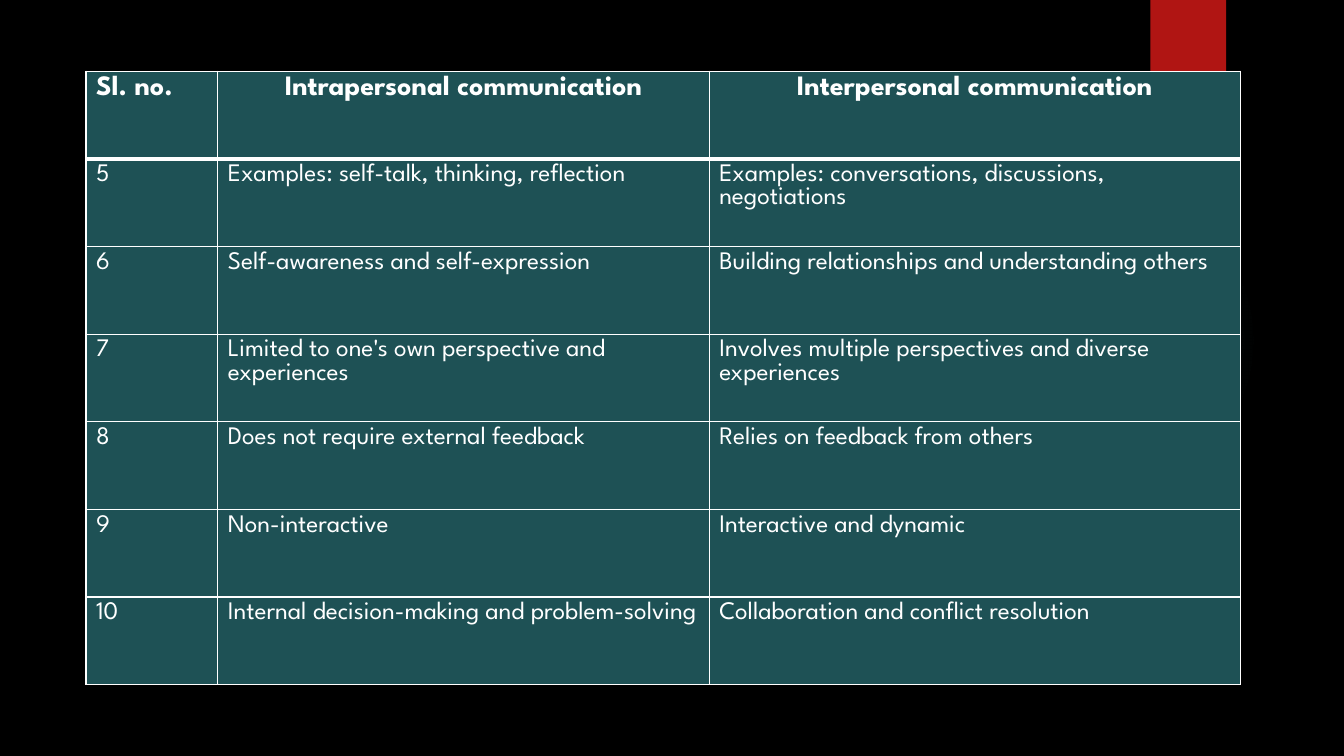
from lxml import etree
from pptx import Presentation
from pptx.dml.color import RGBColor
from pptx.enum import shapes, text
from pptx.oxml import parse_xml
from pptx.util import Pt

NS = "http://schemas.openxmlformats.org/drawingml/2006/main"
WHITE, TEAL, GLOW = "FFFFFF", "1E5155", "50B9C1"


def paint(fill, color):
    fill.solid()
    fill.fore_color.rgb = RGBColor.from_string(color)


def write(frame, words, size=18, bold=False, align=text.PP_ALIGN.LEFT):
    par = frame.paragraphs[0]
    par.alignment = align
    run = par.add_run()
    run.text = words
    run.font.name = "League Spartan"
    run.font.size = Pt(size)
    run.font.bold = bold
    paint(run.font.fill, WHITE)


deck = Presentation()
deck.slide_width, deck.slide_height = Pt(960), Pt(540)
slide = deck.slides.add_slide(deck.slide_layouts[6])
paint(slide.background.fill, "000000")

# Faint round glow
glow = slide.shapes.add_shape(
    shapes.MSO_SHAPE.OVAL, Pt(677.5), Pt(131.8), Pt(221.8), Pt(221.8))
glow.shadow.inherit = False
glow.line.fill.background()
glow.fill.background()
stops = "".join(
    f'<a:gs pos="{pos * 1000}"><a:srgbClr val="{GLOW}">'
    f'<a:alpha val="{alpha * 1000}"/></a:srgbClr></a:gs>'
    for pos, alpha in ((0, 7), (36, 6), (69, 0)))
grad = parse_xml(
    f'<a:gradFill xmlns:a="{NS}"><a:gsLst>{stops}</a:gsLst><a:path path="circle">'
    '<a:fillToRect l="50000" t="50000" r="50000" b="50000"/></a:path></a:gradFill>')
props = glow.element.spPr
props.replace(props.find(f"{{{NS}}}noFill"), grad)

# Red tab
tab = slide.shapes.add_shape(
    shapes.MSO_SHAPE.RECTANGLE, Pt(821.8), 0, Pt(54), Pt(90))
tab.shadow.inherit = False
tab.line.fill.background()
paint(tab.fill, "B01513")

# Comparison table
rows = [
    ("Sl. no.", "Intrapersonal communication", "Interpersonal communication"),
    ("5", "Examples: self-talk, thinking, reflection",
     "Examples: conversations, discussions, negotiations"),
    ("6", "Self-awareness and self-expression",
     "Building relationships and understanding others"),
    ("7", "Limited to one's own perspective and experiences",
     "Involves multiple perspectives and diverse experiences"),
    ("8", "Does not require external feedback", "Relies on feedback from others"),
    ("9", "Non-interactive", "Interactive and dynamic"),
    ("10", "Internal decision-making and problem-solving",
     "Collaboration and conflict resolution"),
]
widths = (94.2, 351, 379.4)
high = 62.6
table = slide.shapes.add_table(
    len(rows), len(widths), Pt(61.4), Pt(50.9),
    Pt(sum(widths)), Pt(high * len(rows))).table
for col, width in zip(table.columns, widths):
    col.width = Pt(width)

for r, row in enumerate(rows):
    table.rows[r].height = Pt(high)
    for c, words in enumerate(row):
        cell = table.cell(r, c)
        head = r == 0
        mid = head and c > 0
        write(cell.text_frame, words, size=20 if head else 18, bold=head,
              align=text.PP_ALIGN.CENTER if mid else text.PP_ALIGN.LEFT)
        tcpr = cell._tc.get_or_add_tcPr()
        for side in "LRTB":
            thick = (head and side == "B") or (r == 1 and side == "T")
            line = etree.SubElement(
                tcpr, f"{{{NS}}}ln{side}", w=str(Pt(3 if thick else 1)))
            solid = etree.SubElement(line, f"{{{NS}}}solidFill")
            etree.SubElement(solid, f"{{{NS}}}srgbClr", val=WHITE)
        paint(cell.fill, TEAL)

deck.save("out.pptx")
